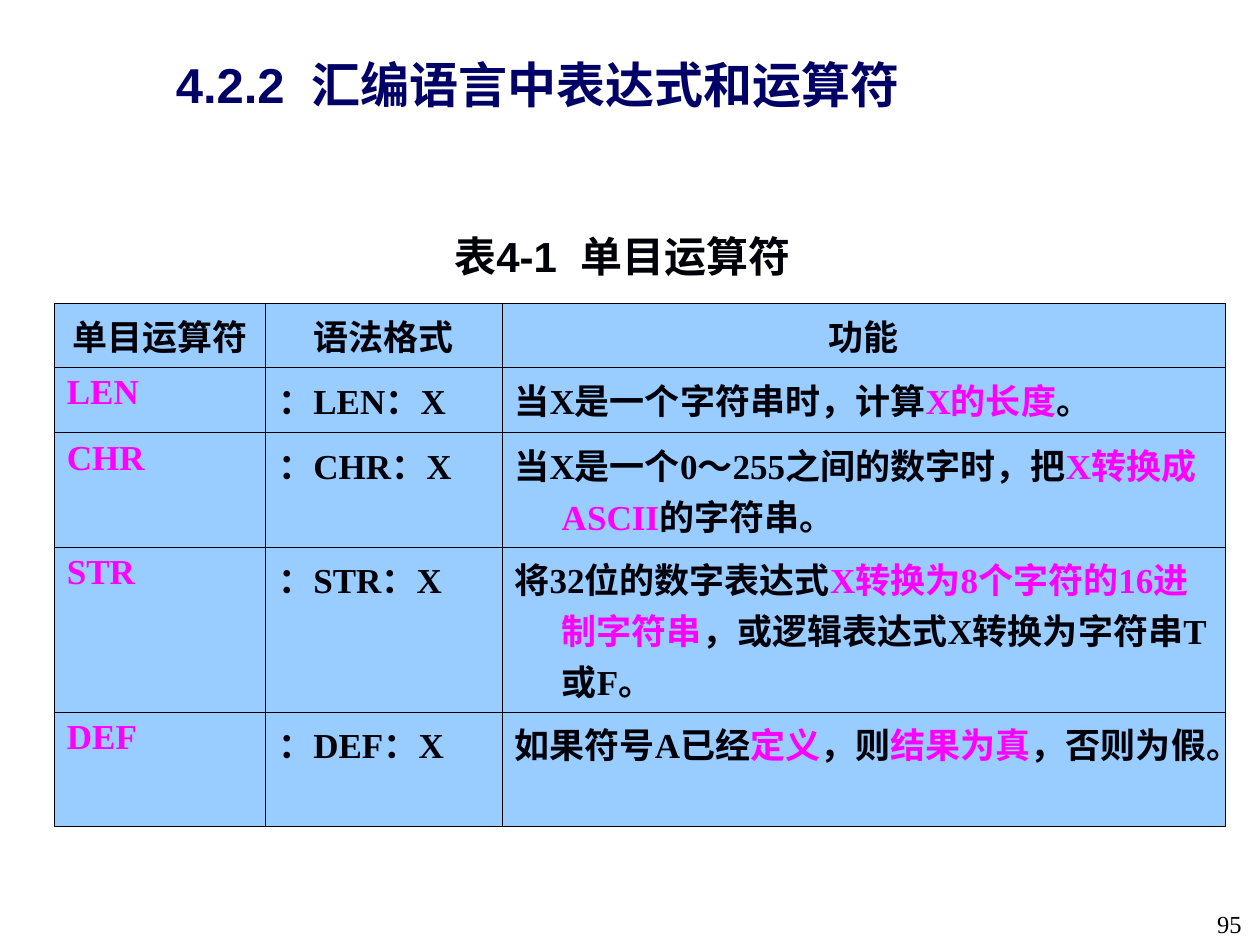
from itertools import groupby

from lxml.etree import SubElement
from pptx import Presentation
from pptx.dml.color import RGBColor
from pptx.enum.text import MSO_ANCHOR as Anchor, MSO_AUTO_SIZE as AutoSize, PP_ALIGN as Align
from pptx.oxml.ns import qn
from pptx.util import Pt

NAVY, INK, MAGENTA, SKY = "000066", "000008", "FF00FF", "99CCFF"
SERIF, SANS, CJK = "Times New Roman", "Arial", "Noto Sans CJK SC"


def color(hex_code):
    """Turn a hex string into a colour."""
    return RGBColor.from_string(hex_code)


def script_of(char):
    """Tell spaces, Latin and Chinese characters apart."""
    return "space" if char == " " else "latin" if ord(char) < 128 else "cjk"


def write(paragraph, text, size=20, latin=SERIF, cjk=CJK, ink=INK, accent=MAGENTA,
          bold=True, align=Align.LEFT, gap=0, hanging=0):
    """Write text in a paragraph; parts between asterisks take the accent colour."""
    paragraph.alignment = align
    if hanging:
        properties = paragraph._p.get_or_add_pPr()
        properties.set("marL", str(Pt(hanging)))
        properties.set("indent", str(-Pt(hanging)))
    for index, part in enumerate(text.split("*")):
        for script, chars in groupby(part, script_of):
            run = paragraph.add_run()
            run.text = "".join(chars)
            font = run.font
            font.size, font.bold = Pt(size), bold
            font.name = cjk if script == "cjk" else latin
            font.color.rgb = color(accent if index % 2 else ink)
            if script == "cjk":
                SubElement(font._element, qn("a:ea")).set("typeface", cjk)
            if script == "space" and gap:
                font._element.set("spc", str(round(gap * 100)))


class SlideBuilder:
    """Hold the table style and the current slide."""

    fill, border, border_width, hanging = SKY, "000000", 0.45, 27

    def __init__(self, deck):
        """Start a slide with a title."""
        self.slide = deck.slides.add_slide(deck.slide_layouts[5])

    def title(self, text, left, top, width, height, **style):
        """Place and fill the title placeholder."""
        heading = self.slide.shapes.title
        heading.left, heading.top = Pt(left), Pt(top)
        heading.width, heading.height = Pt(width), Pt(height)
        frame = heading.text_frame
        frame.auto_size, frame.vertical_anchor = AutoSize.NONE, Anchor.TOP
        frame.paragraphs[0].line_spacing = 0.9
        write(frame.paragraphs[0], text, **style)

    def label(self, text, left, top, width, height, anchor=Anchor.TOP,
              auto_size=AutoSize.NONE, **style):
        """Add a single line of text."""
        frame = self.slide.shapes.add_textbox(
            Pt(left), Pt(top), Pt(width), Pt(height)).text_frame
        frame.word_wrap, frame.vertical_anchor = False, anchor
        frame.auto_size = auto_size
        write(frame.paragraphs[0], text, **style)

    def outline(self, cell):
        """Draw the four borders of a cell."""
        properties = cell._tc.get_or_add_tcPr()
        for side in ("lnL", "lnR", "lnT", "lnB"):
            line = SubElement(properties, qn(f"a:{side}"), w=str(Pt(self.border_width)))
            solid = SubElement(line, qn("a:solidFill"))
            SubElement(solid, qn("a:srgbClr"), val=self.border)

    def table(self, rows, left, top, widths, heights):
        """Add a table whose first row is a centred header."""
        grid = self.slide.shapes.add_table(
            len(rows), len(widths), Pt(left), Pt(top),
            Pt(sum(widths)), Pt(sum(heights))).table
        grid.horz_banding = grid.first_row = False
        for column, width in zip(grid.columns, widths):
            column.width = Pt(width)
        for index, (row, height, texts) in enumerate(zip(grid.rows, heights, rows)):
            row.height = Pt(height)
            align = Align.LEFT if index else Align.CENTER
            for cell, text in zip(row.cells, texts):
                self.outline(cell)
                cell.fill.solid()
                cell.fill.fore_color.rgb = color(self.fill)
                write(cell.text_frame.paragraphs[0], text, hanging=self.hanging, align=align)


FUNCTIONS = {
    "LEN": "当X是一个字符串时，计算*X的长度*。",
    "CHR": "当X是一个0～255之间的数字时，把*X转换成ASCII*的字符串。",
    "STR": "将32位的数字表达式*X转换为8个字符的16进制字符串*，或逻辑表达式X转换为字符串T或F。",
    "DEF": "如果符号A已经*定义*，则*结果为真*，否则为假。",
}
operators = [("单目运算符", "语法格式", "功能")]
operators += [(f"*{name}*", f"：{name}：X", use) for name, use in FUNCTIONS.items()]

deck = Presentation()
deck.slide_width, deck.slide_height = Pt(720), Pt(540)
builder = SlideBuilder(deck)
builder.title("4.2.2 汇编语言中表达式和运算符", 25.2, 31.2, 563.8, 66.2, size=28,
              latin=SANS, cjk=SANS, ink=NAVY, align=Align.CENTER, gap=7.8)
builder.table(operators, 31, 173.5, widths=[120.8, 135, 413.2],
              heights=[35.5, 37.5, 58.5, 79, 65])
builder.label("表4-1 单目运算符", 240.7, 128.2, 230, 36, anchor=Anchor.MIDDLE,
              auto_size=AutoSize.SHAPE_TO_FIT_TEXT, size=24,
              latin=SANS, cjk=SANS, align=Align.CENTER, gap=6.7)
builder.label("95", 662, 516, 54.7, 24, size=14, ink="010000",
              bold=False, align=Align.RIGHT)
deck.save("out.pptx")
